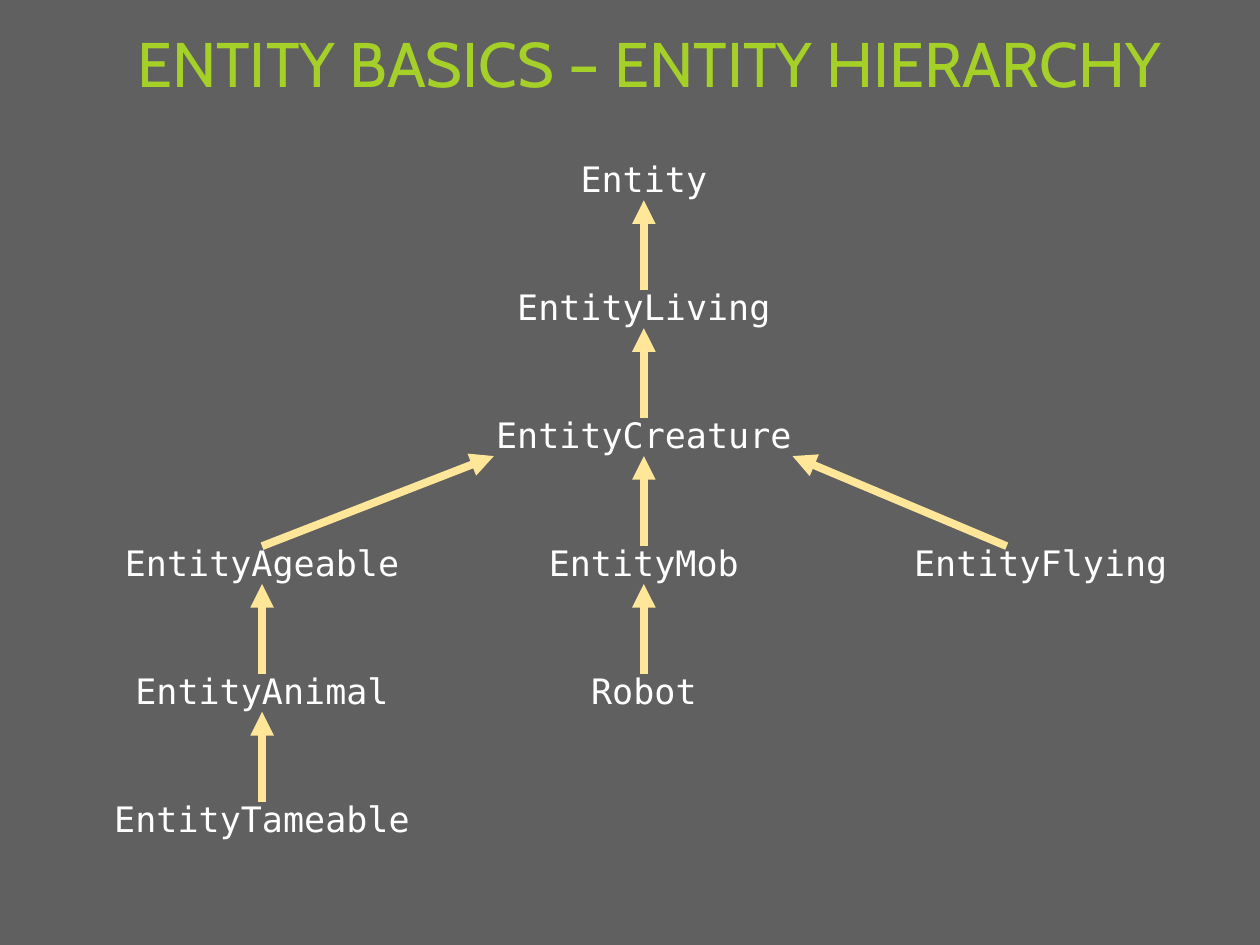
from dataclasses import dataclass

from lxml import etree
from pptx import Presentation
from pptx.dml.color import RGBColor
from pptx.enum.shapes import MSO_CONNECTOR
from pptx.enum.text import MSO_ANCHOR, PP_ALIGN
from pptx.oxml.ns import qn
from pptx.util import Inches, Pt

STRAIGHT = MSO_CONNECTOR.STRAIGHT
MIDDLE = MSO_ANCHOR.MIDDLE
LEFT, CENTER = PP_ALIGN.LEFT, PP_ALIGN.CENTER

BACKGROUND, TITLE_COLOR = "606060", "A5D028"
LABEL_COLOR, ARROW_COLOR = "FFFFFF", "FFE699"
TITLE_FONT, LABEL_FONT = "Cabin", "DejaVu Sans Mono"

# Grid in inches: column centres and evenly spaced rows
COLUMN_CENTERS = (2.08, 5.11, 8.26)
FIRST_ROW, ROW_PITCH, LABEL_HEIGHT = 1.29, 1.015, 0.3


@dataclass(frozen=True)
class EntityClass:
    name: str
    column: int
    row: int
    width: float
    parent: str = ""
    start_shift: float = 0  # arrow start, from the column centre
    end_shift: float = 0  # arrow end, from the parent's centre

    @property
    def center(self) -> float:
        return COLUMN_CENTERS[self.column]

    @property
    def top(self) -> float:
        return FIRST_ROW + self.row * ROW_PITCH


ENTITY_CLASSES = (
    EntityClass("Entity", 1, 0, 1.41),
    EntityClass("EntityLiving", 1, 1, 2.95, "Entity"),
    EntityClass("EntityCreature", 1, 2, 3.24, "EntityLiving"),
    EntityClass("EntityAgeable", 0, 3, 2.92, "EntityCreature", end_shift=-1.19),
    EntityClass("EntityMob", 1, 3, 2.63, "EntityCreature"),
    EntityClass("EntityFlying", 2, 3, 2.75, "EntityCreature", -0.27, 1.18),
    EntityClass("EntityAnimal", 0, 4, 2.74, "EntityAgeable"),
    EntityClass("Robot", 1, 4, 1.19, "EntityMob"),
    EntityClass("EntityTameable", 0, 5, 3.14, "EntityAnimal"),
)


def color(hex_value: str) -> RGBColor:
    return RGBColor.from_string(hex_value)


def add_text(slide, text: str, box: tuple, font_name: str, size: int,
             text_color: str, alignment, line_spacing: float):
    shape = slide.shapes.add_textbox(*(Inches(length) for length in box))
    frame = shape.text_frame
    frame.word_wrap = True
    frame.vertical_anchor = MIDDLE
    paragraph = frame.paragraphs[0]
    paragraph.text = text
    paragraph.alignment = alignment
    paragraph.line_spacing = line_spacing
    paragraph.font.name = font_name
    paragraph.font.size = Pt(size)
    paragraph.font.color.rgb = color(text_color)
    return frame


def add_label(slide, entity: EntityClass) -> None:
    box = (entity.center - entity.width / 2, entity.top, entity.width, LABEL_HEIGHT)
    frame = add_text(slide, entity.name, box, LABEL_FONT, 20, LABEL_COLOR, CENTER, 0.9)
    frame.margin_left = frame.margin_right = 0
    frame.margin_top = frame.margin_bottom = 0


def add_arrow(slide, child: EntityClass, parent: EntityClass) -> None:
    points = (child.center + child.start_shift, child.top,
              parent.center + child.end_shift, parent.top + LABEL_HEIGHT)
    connector = slide.shapes.add_connector(STRAIGHT, *(Inches(value) for value in points))
    connector.line.color.rgb = color(ARROW_COLOR)
    connector.line.width = Pt(4.5)
    # Arrowhead at the parent, and no shadow
    line = connector.line._get_or_add_ln()
    etree.SubElement(line, qn("a:tailEnd"), type="triangle")
    etree.SubElement(connector._element.spPr, qn("a:effectLst"))


def main() -> None:
    presentation = Presentation()
    presentation.slide_width, presentation.slide_height = Inches(10), Inches(7.5)
    slide = presentation.slides.add_slide(presentation.slide_layouts[6])
    slide.background.fill.solid()
    slide.background.fill.fore_color.rgb = color(BACKGROUND)

    # Title
    add_text(slide, "ENTITY BASICS – ENTITY HIERARCHY", (0.99, 0.01, 9.01, 1.06),
             TITLE_FONT, 36, TITLE_COLOR, LEFT, 0.85)

    # Class names, then an arrow from each class to its parent
    by_name = {entity.name: entity for entity in ENTITY_CLASSES}
    for entity in ENTITY_CLASSES:
        add_label(slide, entity)
    for entity in ENTITY_CLASSES:
        if entity.parent:
            add_arrow(slide, entity, by_name[entity.parent])

    presentation.save("out.pptx")


if __name__ == "__main__":
    main()
